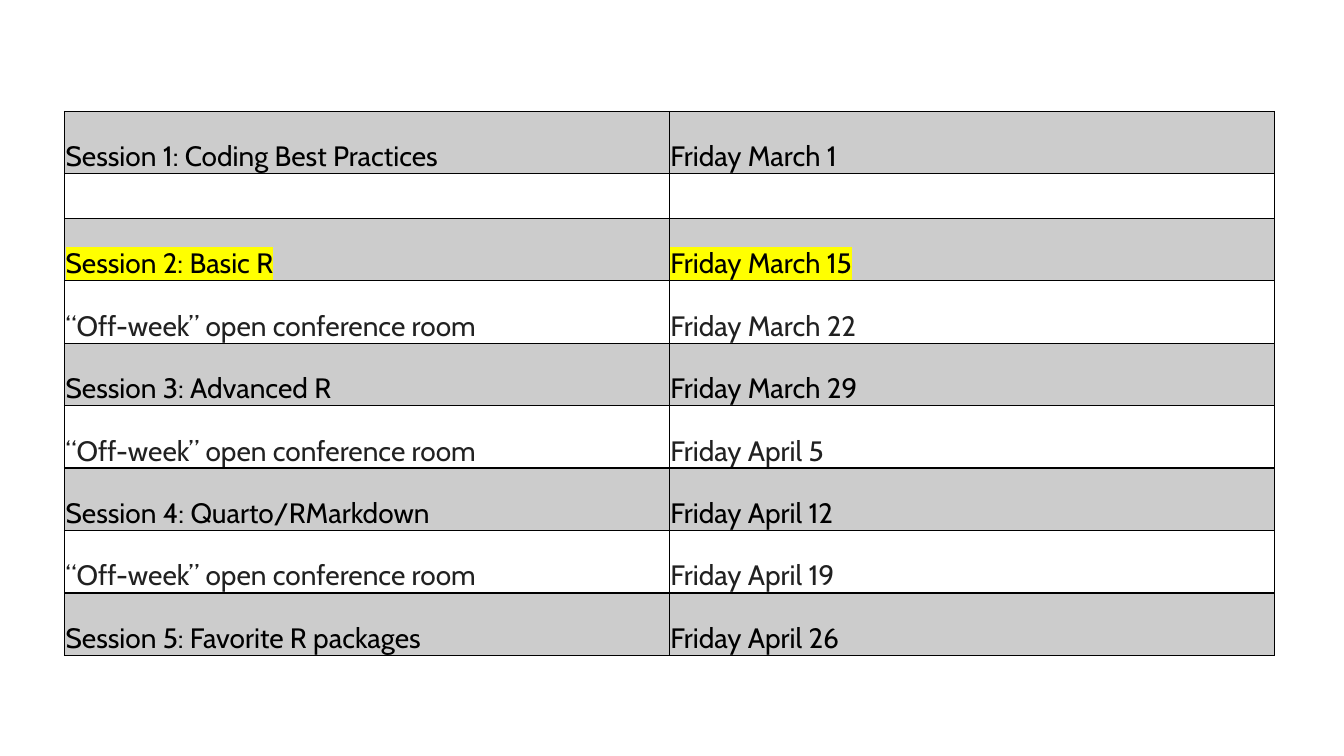
"""Build a slide with the timetable of coding sessions and open weeks."""
from dataclasses import dataclass

from lxml import etree
from pptx import Presentation
from pptx.dml.color import RGBColor
from pptx.enum.text import MSO_ANCHOR
from pptx.oxml.ns import qn
from pptx.util import Inches, Pt

BOTTOM = MSO_ANCHOR.BOTTOM
SLIDE_WIDTH, SLIDE_HEIGHT = 13.33, 7.5
LEFT, TOP = 0.64, 0.7
COLUMN_WIDTH = 6.0
DATE_ROW, TOP_ROW, GAP_ROW = 0.62, 0.4, 0.44
CELL_INSET = 0.01
FONT, TEXT_SIZE, BORDER_WIDTH = "Cabin", 20, 1
BLACK, CHARCOAL, YELLOW = "000000", "212121", "FFFF00"
SHADE_PERCENT = 20
ALL_SIDES = ("lnL", "lnR", "lnT", "lnB")
OFF_WEEK = "“Off-week” open conference room"


@dataclass(frozen=True)
class Week:
    """One row of the timetable."""

    topic: str = ""
    date: str = ""
    height: float = DATE_ROW
    session: bool = False
    current: bool = False
    bordered: tuple[str, ...] = ALL_SIDES


WEEKS = (
    Week(height=TOP_ROW, bordered=("lnB",)),
    Week("Session 1: Coding Best Practices", "Friday March 1", session=True),
    Week(height=GAP_ROW),
    Week("Session 2: Basic R", "Friday March 15", session=True, current=True),
    Week(OFF_WEEK, "Friday March 22"),
    Week("Session 3: Advanced R", "Friday March 29", session=True),
    Week(OFF_WEEK, "Friday April 5"),
    Week("Session 4: Quarto/RMarkdown", "Friday April 12", session=True),
    Week(OFF_WEEK, "Friday April 19"),
    Week("Session 5: Favorite R packages", "Friday April 26", session=True),
)


def color(hex_value: str) -> RGBColor:
    """Turn a hex string into a colour."""
    return RGBColor.from_string(hex_value)


def add_solid(parent, hex_value: str) -> None:
    """Append a solid fill element to a line."""
    solid = etree.SubElement(parent, qn("a:solidFill"))
    etree.SubElement(solid, qn("a:srgbClr"), val=hex_value)


def draw_borders(cell, bordered: tuple[str, ...]) -> None:
    """Rule the listed sides of a cell and clear the others."""
    properties = cell._tc.get_or_add_tcPr()
    for side in ALL_SIDES:
        line = etree.SubElement(properties, qn(f"a:{side}"), w=str(Pt(BORDER_WIDTH)))
        if side in bordered:
            add_solid(line, BLACK)
        else:
            etree.SubElement(line, qn("a:noFill"))


def shade(cell, session: bool) -> None:
    """Give session cells a translucent black fill, others none."""
    if not session:
        cell.fill.background()
        return
    cell.fill.solid()
    cell.fill.fore_color.rgb = color(BLACK)
    tone = cell._tc.tcPr.find(f"{qn('a:solidFill')}/{qn('a:srgbClr')}")
    etree.SubElement(tone, qn("a:alpha"), val=str(SHADE_PERCENT * 1000))


def write(cell, wording: str, week: Week) -> None:
    """Write the cell's wording at its lower edge."""
    cell.vertical_anchor = BOTTOM
    cell.margin_left = cell.margin_right = cell.margin_top = Inches(CELL_INSET)
    cell.margin_bottom = 0
    run = cell.text_frame.paragraphs[0].add_run()
    run.text = wording
    run.font.size = Pt(TEXT_SIZE)
    run.font.bold = False
    run.font.color.rgb = color(BLACK if week.session else CHARCOAL)
    if week.current:
        highlight = etree.SubElement(run.font._element, qn("a:highlight"))
        etree.SubElement(highlight, qn("a:srgbClr"), val=YELLOW)
    run.font.name = FONT


def draw_timetable(slide, weeks: tuple[Week, ...]) -> None:
    """Draw the timetable with a topic and a date column."""
    timetable = slide.shapes.add_table(
        len(weeks), 2, Inches(LEFT), Inches(TOP), Inches(2 * COLUMN_WIDTH),
        Inches(sum(week.height for week in weeks)),
    ).table
    timetable.first_row = timetable.horz_banding = False
    for column in timetable.columns:
        column.width = Inches(COLUMN_WIDTH)
    for row, week in zip(timetable.rows, weeks):
        row.height = Inches(week.height)
        for cell, wording in zip(row.cells, (week.topic, week.date)):
            draw_borders(cell, week.bordered)
            shade(cell, week.session)
            if wording:
                write(cell, wording, week)


def main() -> None:
    """Build and save the slide."""
    presentation = Presentation()
    presentation.slide_width = Inches(SLIDE_WIDTH)
    presentation.slide_height = Inches(SLIDE_HEIGHT)
    slide = presentation.slides.add_slide(presentation.slide_layouts[6])
    draw_timetable(slide, WEEKS)
    presentation.save("out.pptx")


if __name__ == "__main__":
    main()
